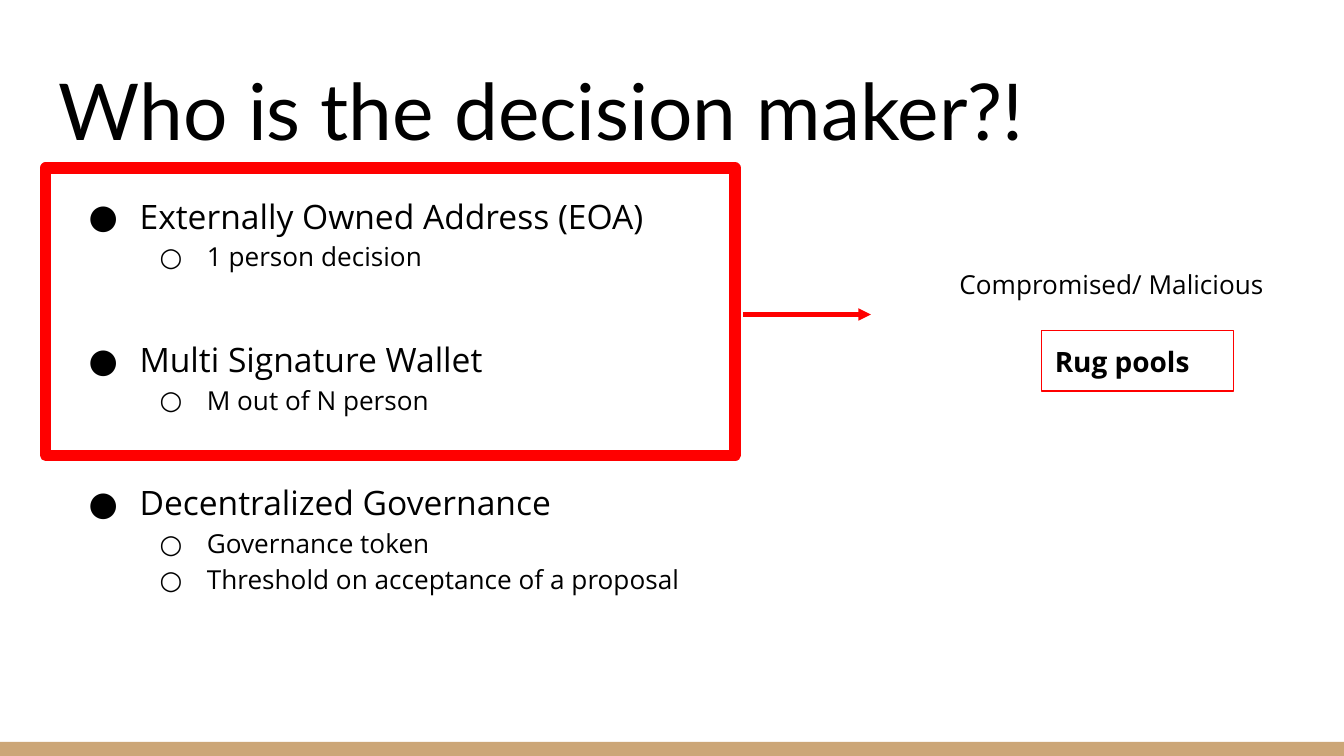
from lxml import etree
from pptx import Presentation
from pptx import util as u
from pptx.dml.color import RGBColor
from pptx.enum import shapes, text
from pptx.oxml.ns import qn

COLORS = {"ink": "000000", "paper": "FFFFFF", "alert": "FF0000", "footer": "CCA677"}
COLS, ROWS = 100, 56.25
LEVELS = [  # bullet, size, left margin and hanging indent in inches
    ("●", 18, 0.5, 0.38),
    ("○", 14, 1, 0.35),
]
GROUP_GAP = 32.7

DECISION_MAKERS = [
    ("Externally Owned Address (EOA)", ["1 person decision"]),
    ("Multi Signature Wallet", ["M out of N person"]),
    ("Decentralized Governance",
     ["Governance token", "Threshold on acceptance of a proposal"]),
]


class Deck:
    """Holds the style and the current slide; lengths are grid columns and rows."""

    def __init__(self):
        self.prs = Presentation()
        self.prs.slide_width = u.Inches(10)
        self.prs.slide_height = u.Inches(5.625)
        self.heading_font, self.body_font = "Lato", "Open Sans"
        self.s = self.prs.slides.add_slide(self.prs.slide_layouts[6])
        self.s.background.fill.solid()
        self.s.background.fill.fore_color.rgb = self.color("paper")

    def color(self, name):
        return RGBColor.from_string(COLORS[name])

    def x(self, col):
        return round(self.prs.slide_width * col / COLS)

    def y(self, row):
        return round(self.prs.slide_height * row / ROWS)

    def place(self, col, row, cols, rows):
        return self.x(col), self.y(row), self.x(cols), self.y(rows)

    def rect(self, *box, fill=None, line=None, width=0.75):
        sp = self.s.shapes.add_shape(shapes.MSO_SHAPE.RECTANGLE, *self.place(*box))
        sp.shadow.inherit = False
        if fill:
            sp.fill.solid()
            sp.fill.fore_color.rgb = self.color(fill)
        else:
            sp.fill.background()
        if line:
            sp.line.color.rgb = self.color(line)
            sp.line.width = u.Pt(width)
            etree.SubElement(sp.line._get_or_add_ln(), qn("a:round"))
        else:
            sp.line.fill.background()
        return sp

    def frame(self, sp, anchor=text.MSO_ANCHOR.TOP):
        """Set wrapping, anchor and equal insets, and return the text frame."""
        tf = sp.text_frame
        tf.word_wrap = True
        tf.vertical_anchor = anchor
        tf.margin_left = tf.margin_right = u.Inches(0.1)
        tf.margin_top = tf.margin_bottom = u.Inches(0.1)
        return tf

    def textbox(self, *box, **style):
        return self.frame(self.s.shapes.add_textbox(*self.place(*box)), **style)

    def run(self, p, words, size, font=None, bold=False):
        p.alignment = text.PP_ALIGN.LEFT
        r = p.add_run()
        r.text = words
        r.font.name = font or self.body_font
        r.font.size = u.Pt(size)
        r.font.bold = bold
        r.font.color.rgb = self.color("ink")

    def bullet(self, p, words, level):
        char, size, margin, hang = LEVELS[level]
        p.level = level
        p.line_spacing = 1.15
        self.run(p, words, size)
        pPr = p._p.get_or_add_pPr()
        pPr.set("marL", str(u.Inches(margin)))
        pPr.set("indent", str(-u.Inches(hang)))
        etree.SubElement(pPr, qn("a:buFont"), typeface=self.body_font)
        etree.SubElement(pPr, qn("a:buChar"), char=char)

    def outline(self, tf, groups):
        """Write each heading with its points, with a gap between groups."""
        p = tf.paragraphs[0]
        for i, (heading, points) in enumerate(groups):
            if i:
                p.space_after = u.Pt(GROUP_GAP)
                p = tf.add_paragraph()
            self.bullet(p, heading, 0)
            for point in points:
                p = tf.add_paragraph()
                self.bullet(p, point, 1)

    def arrow(self, col, row, end_col, end_row, color, width):
        c = self.s.shapes.add_connector(
            shapes.MSO_CONNECTOR.STRAIGHT,
            self.x(col), self.y(row), self.x(end_col), self.y(end_row))
        c.line.color.rgb = self.color(color)
        c.line.width = u.Pt(width)
        etree.SubElement(c.line._get_or_add_ln(), qn("a:tailEnd"), type="triangle")
        etree.SubElement(c._element.spPr, qn("a:effectLst"))


def main():
    deck = Deck()
    deck.rect(0, 55.2, COLS, 1.05, fill="footer")
    deck.rect(3.4, 12.5, 51.3, 21.4, fill="paper", line="alert", width=6)

    title = deck.textbox(3.4, 3.5, 93.2, 9.1, anchor=text.MSO_ANCHOR.BOTTOM)
    deck.run(title.paragraphs[0], "Who is the decision maker?!", 42, deck.heading_font)

    deck.outline(deck.textbox(4.4, 13.1, 93.2, 36.7), DECISION_MAKERS)

    deck.arrow(55.3, 23.4, 64.8, 23.4, "alert", 2.25)
    risk = deck.textbox(70.4, 19, 24.9, 4.4)
    deck.run(risk.paragraphs[0], "Compromised/ Malicious", 14)
    outcome = deck.frame(deck.rect(77.5, 24.6, 14.3, 4.5, line="alert"))
    deck.run(outcome.paragraphs[0], "Rug pools", 15, bold=True)

    deck.prs.save("out.pptx")


if __name__ == "__main__":
    main()
